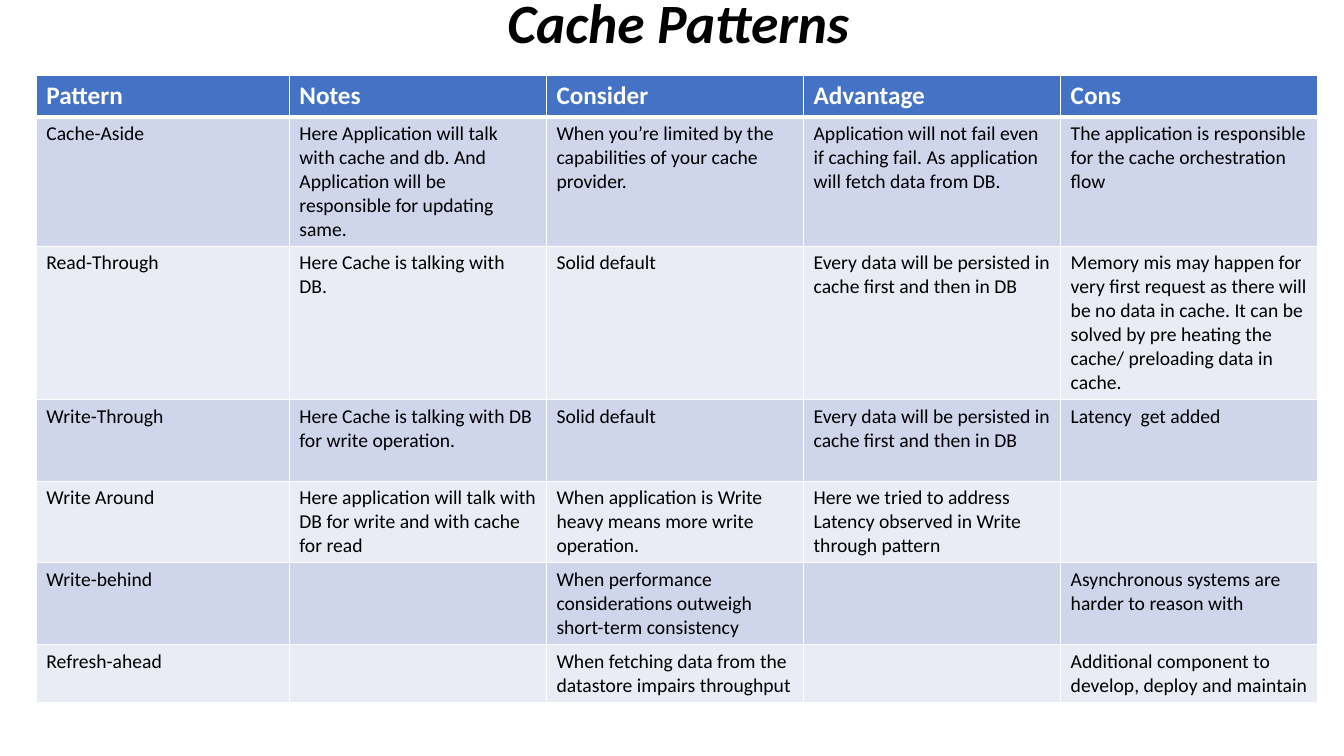
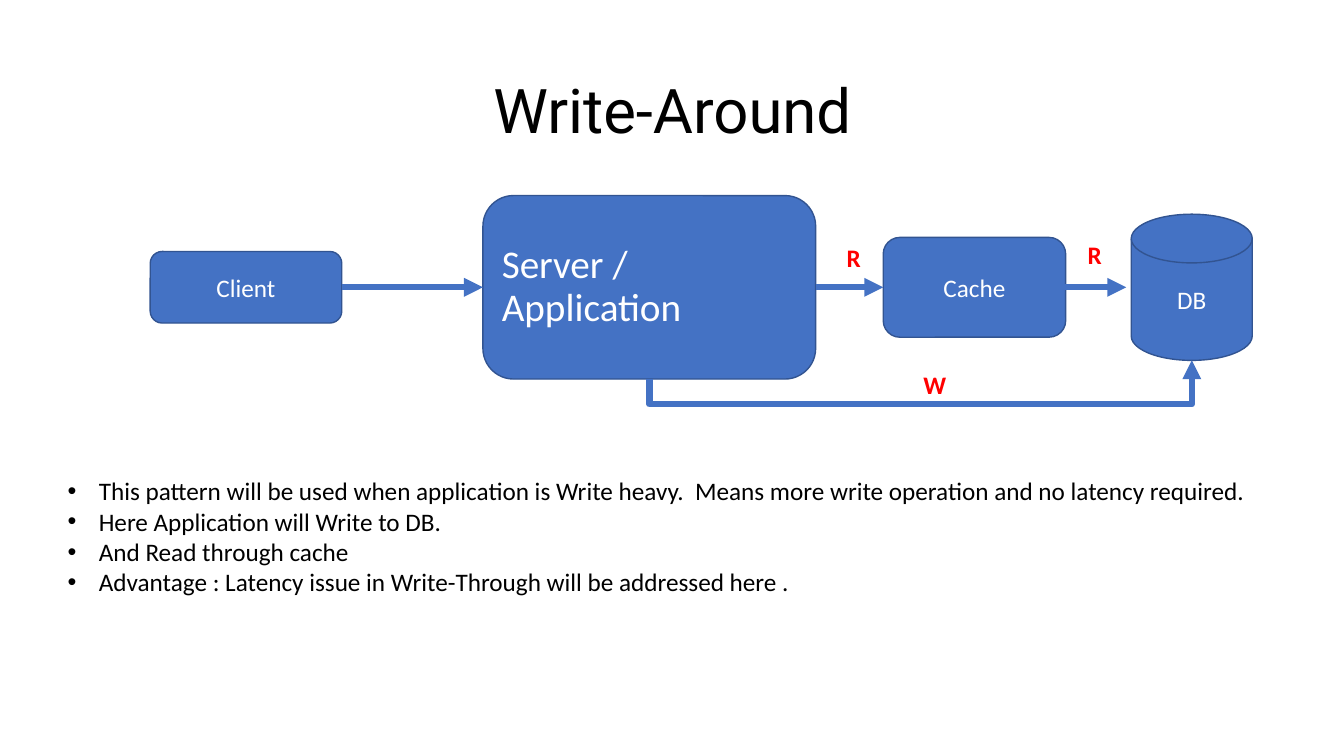
from dataclasses import dataclass

import pptx
import pptx.dml.color
import pptx.enum.shapes
import pptx.enum.text
import pptx.oxml
import pptx.oxml.ns
import pptx.util
from lxml import etree
from pptx.util import Inches

# Shared style
BLUE, DARK_BLUE = "4472C4", "325491"
BAND_DARK, BAND_LIGHT = "CFD5EA", "E9EBF5"
WHITE, BLACK, RED = "FFFFFF", "000000", "FF0000"
BODY_FONT, ACCENT_FONT = "Calibri", "Roboto"
SHAPES = pptx.enum.shapes.MSO_SHAPE
CONNECTORS = pptx.enum.shapes.MSO_CONNECTOR
ALIGN = pptx.enum.text.PP_ALIGN
ANCHOR = pptx.enum.text.MSO_ANCHOR
TITLE_ONLY, TITLE_AND_BODY = 5, 1


@dataclass(frozen=True)
class Box:
    left: float
    top: float
    width: float
    height: float


@dataclass(frozen=True)
class TextStyle:
    size: float
    color: str = BLACK
    font: str = BODY_FONT
    bold: bool = False
    italic: bool = False
    align: ALIGN = ALIGN.LEFT
    spacing: float = 1.0


@dataclass(frozen=True)
class Node:
    text: str
    kind: SHAPES
    left: float
    width: float
    height: float
    style: TextStyle

    @property
    def box(self) -> Box:
        return Box(self.left, FLOW_AXIS - self.height / 2, self.width, self.height)


@dataclass(frozen=True)
class Label:
    text: str
    left: float
    top: float


def rgb(color: str) -> pptx.dml.color.RGBColor:
    return pptx.dml.color.RGBColor.from_string(color)


def add_child(parent, tag: str, **attributes: str):
    child = etree.SubElement(parent, pptx.oxml.ns.qn(tag))
    for name, value in attributes.items():
        child.set(name, value)
    return child


def write(paragraph, text: str, style: TextStyle) -> None:
    paragraph.alignment = style.align
    paragraph.line_spacing = style.spacing
    paragraph.space_before = pptx.util.Pt(0)
    run = paragraph.add_run()
    run.text = text
    run.font.name = style.font
    run.font.size = pptx.util.Pt(style.size)
    run.font.bold = style.bold
    run.font.italic = style.italic
    run.font.color.rgb = rgb(style.color)


def place(shape, box: Box) -> None:
    shape.left, shape.top = Inches(box.left), Inches(box.top)
    shape.width, shape.height = Inches(box.width), Inches(box.height)


def set_frame(shape, anchor: ANCHOR):
    frame = shape.text_frame
    frame.word_wrap = True
    frame.auto_size = pptx.enum.text.MSO_AUTO_SIZE.NONE
    frame.vertical_anchor = anchor
    return frame


def add_titled_slide(presentation, layout: int, title: str, box: Box, style: TextStyle):
    slide = presentation.slides.add_slide(presentation.slide_layouts[layout])
    place(slide.shapes.title, box)
    frame = set_frame(slide.shapes.title, ANCHOR.MIDDLE)
    write(frame.paragraphs[0], title, style)
    return slide


def fill_bullets(shape, box: Box, lines: list[str], style: TextStyle) -> None:
    place(shape, box)
    frame = set_frame(shape, ANCHOR.TOP)
    indent = Inches(0.31)
    for index, line in enumerate(lines):
        paragraph = frame.add_paragraph() if index else frame.paragraphs[0]
        write(paragraph, line, style)
        properties = paragraph._p.get_or_add_pPr()
        properties.set("marL", str(indent))
        properties.set("indent", str(-indent))
        add_child(properties, "a:buFont", typeface="Arial")
        add_child(properties, "a:buChar", char="•")


# Table
def style_cell(cell, fill: str, bottom: float) -> None:
    properties = cell._tc.get_or_add_tcPr()
    for side, width in {"L": 1, "R": 1, "T": 1, "B": bottom}.items():
        border = add_child(properties, f"a:ln{side}", w=str(pptx.util.Pt(width)))
        add_child(add_child(border, "a:solidFill"), "a:srgbClr", val=WHITE)
    cell.fill.solid()
    cell.fill.fore_color.rgb = rgb(fill)


def add_pattern_table(slide, box: Box, widths: list[float], heights: list[float],
                      rows: list[list[str]]) -> None:
    table = slide.shapes.add_table(
        len(rows), len(widths), Inches(box.left), Inches(box.top),
        Inches(box.width), Inches(box.height)).table
    table.horz_banding = False
    for column, width in zip(table.columns, widths):
        column.width = Inches(width)
    for index, (row, height, texts) in enumerate(zip(table.rows, heights, rows)):
        row.height = Inches(height)
        is_header = index == 0
        style = TextStyle(18, WHITE, bold=True) if is_header else TextStyle(14)
        fill = BLUE if is_header else (BAND_DARK if index % 2 else BAND_LIGHT)
        for cell, text in zip(row.cells, texts):
            style_cell(cell, fill, bottom=3 if is_header else 1)
            if text:
                write(cell.text_frame.paragraphs[0], text, style)


# Diagram
def add_node(slide, node: Node) -> None:
    box = node.box
    shape = slide.shapes.add_shape(node.kind, Inches(box.left), Inches(box.top),
                                   Inches(box.width), Inches(box.height))
    shape.shadow.inherit = False
    shape.fill.solid()
    shape.fill.fore_color.rgb = rgb(BLUE)
    shape.line.color.rgb = rgb(DARK_BLUE)
    shape.line.width = pptx.util.Pt(1)
    write(set_frame(shape, ANCHOR.MIDDLE).paragraphs[0], node.text, node.style)


def add_label(slide, label: Label) -> None:
    shape = slide.shapes.add_textbox(Inches(label.left), Inches(label.top),
                                     Inches(0.33), Inches(0.41))
    write(set_frame(shape, ANCHOR.TOP).paragraphs[0], label.text,
          TextStyle(18, RED, bold=True))


def add_arrow(slide, kind: CONNECTORS, start: tuple[float, float],
              end: tuple[float, float]):
    connector = slide.shapes.add_connector(kind, *map(Inches, start + end))
    connector.line.color.rgb = rgb(BLUE)
    connector.line.width = pptx.util.Pt(4.5)
    add_child(connector.line._get_or_add_ln(), "a:tailEnd", type="triangle")
    add_child(connector._element.spPr, "a:effectLst")
    return connector


def add_under_arrow(slide, start: tuple[float, float], end: tuple[float, float],
                    drop: float) -> None:
    """Leave downwards, run right, and rise to the end: an elbow turned by 90 degrees."""
    center_x, center_y = (start[0] + end[0]) / 2, (start[1] + end[1]) / 2
    half_run, half_rise = (end[0] - start[0]) / 2, (start[1] - end[1]) / 2
    connector = add_arrow(slide, CONNECTORS.ELBOW,
                          (center_x + half_rise, center_y + half_run),
                          (center_x - half_rise, center_y - half_run))
    properties = connector._element.spPr
    properties.find(pptx.oxml.ns.qn("a:xfrm")).set("rot", str(90 * 60000))
    geometry = properties.find(pptx.oxml.ns.qn("a:prstGeom"))
    guides = geometry.find(pptx.oxml.ns.qn("a:avLst"))
    if guides is None:
        guides = add_child(geometry, "a:avLst")
    bend = round(-drop / (2 * half_rise) * 100000)
    add_child(guides, "a:gd", name="adj1", fmla=f"val {bend}")


presentation = pptx.Presentation()
presentation.slide_width, presentation.slide_height = Inches(13.33), Inches(7.5)

# Slide 1: comparison of the patterns
PATTERNS = [
    ["Pattern", "Notes", "Consider", "Advantage", "Cons"],
    ["Cache-Aside",
     "Here Application will talk with cache and db. And Application will be "
     "responsible for updating same. ",
     "When you’re limited by the capabilities of your cache provider.",
     "Application will not fail even  if caching fail. As application will fetch "
     "data from DB. ",
     "The application is responsible for the cache orchestration flow"],
    ["Read-Through", "Here Cache is talking with DB. ", "Solid default",
     "Every data will be persisted in cache first and then in DB",
     "Memory mis may happen for very first request as there will be no data in "
     "cache. It can be solved by pre heating the cache/ preloading data in cache. "],
    ["Write-Through", "Here Cache is talking with DB for write operation. ",
     "Solid default", "Every data will be persisted in cache first and then in DB",
     "Latency  get added"],
    ["Write Around ",
     "Here application will talk with DB for write and with cache for read",
     "When application is Write heavy means more write operation.",
     "Here we tried to address Latency observed in Write through pattern", ""],
    ["Write-behind", "",
     "When performance considerations outweigh short-term consistency", "",
     "Asynchronous systems are harder to reason with"],
    ["Refresh-ahead", "", "When fetching data from the datastore impairs throughput",
     "", "Additional component to develop, deploy and maintain"],
]
slide = add_titled_slide(
    presentation, TITLE_ONLY, "Cache Patterns ", Box(0.36, -0.07, 12.86, 0.65),
    TextStyle(39.6, bold=True, italic=True, align=ALIGN.CENTER, spacing=0.9))
add_pattern_table(slide, Box(0.36, 0.75, 12.7, 6.2), [2.51] + [2.55] * 4,
                  [0.41, 1.27, 1.52, 0.81, 0.81, 0.81, 0.57], PATTERNS)

# Slide 2: write-around flow
FLOW_AXIS = 2.85
NODE_TEXT = TextStyle(18, WHITE, align=ALIGN.CENTER)
client = Node("Client", SHAPES.ROUNDED_RECTANGLE, 1.49, 1.9, 0.71, NODE_TEXT)
server = Node("Server / Application", SHAPES.ROUNDED_RECTANGLE, 4.79, 3.3, 1.82,
              TextStyle(28, WHITE, spacing=0.9))
cache = Node("Cache", SHAPES.ROUNDED_RECTANGLE, 8.76, 1.81, 0.99, NODE_TEXT)
database = Node("DB", SHAPES.FLOWCHART_MAGNETIC_DISK, 11.22, 1.2, 1.45, NODE_TEXT)

slide = add_titled_slide(
    presentation, TITLE_AND_BODY, "Write-Around", Box(0.92, 0.4, 11.5, 1.45),
    TextStyle(44, font=ACCENT_FONT, align=ALIGN.CENTER, spacing=0.9))
fill_bullets(slide.placeholders[1], Box(0.57, 4.67, 12.03, 1.31), [
    "This pattern will be used when application is Write heavy.  Means more write "
    "operation and no latency required.",
    "Here Application will Write to DB. ",
    "And Read through cache",
    "Advantage : Latency issue in Write-Through will be addressed here . ",
], TextStyle(18))
for node in (client, server, cache, database):
    add_node(slide, node)
for start_x, end_x in ((client.left + client.width, server.left),
                       (server.left + server.width, cache.left),
                       (10.5, 11.17)):
    add_arrow(slide, CONNECTORS.STRAIGHT, (start_x, FLOW_AXIS), (end_x, FLOW_AXIS))
add_under_arrow(slide,
                (server.left + server.width / 2, FLOW_AXIS + server.height / 2),
                (database.left + database.width / 2, FLOW_AXIS + database.height / 2),
                drop=0.25)
for label in (Label("R", 8.3, 2.35), Label("R", 10.69, 2.32), Label("W", 9.06, 3.61)):
    add_label(slide, label)

presentation.save("out.pptx")
